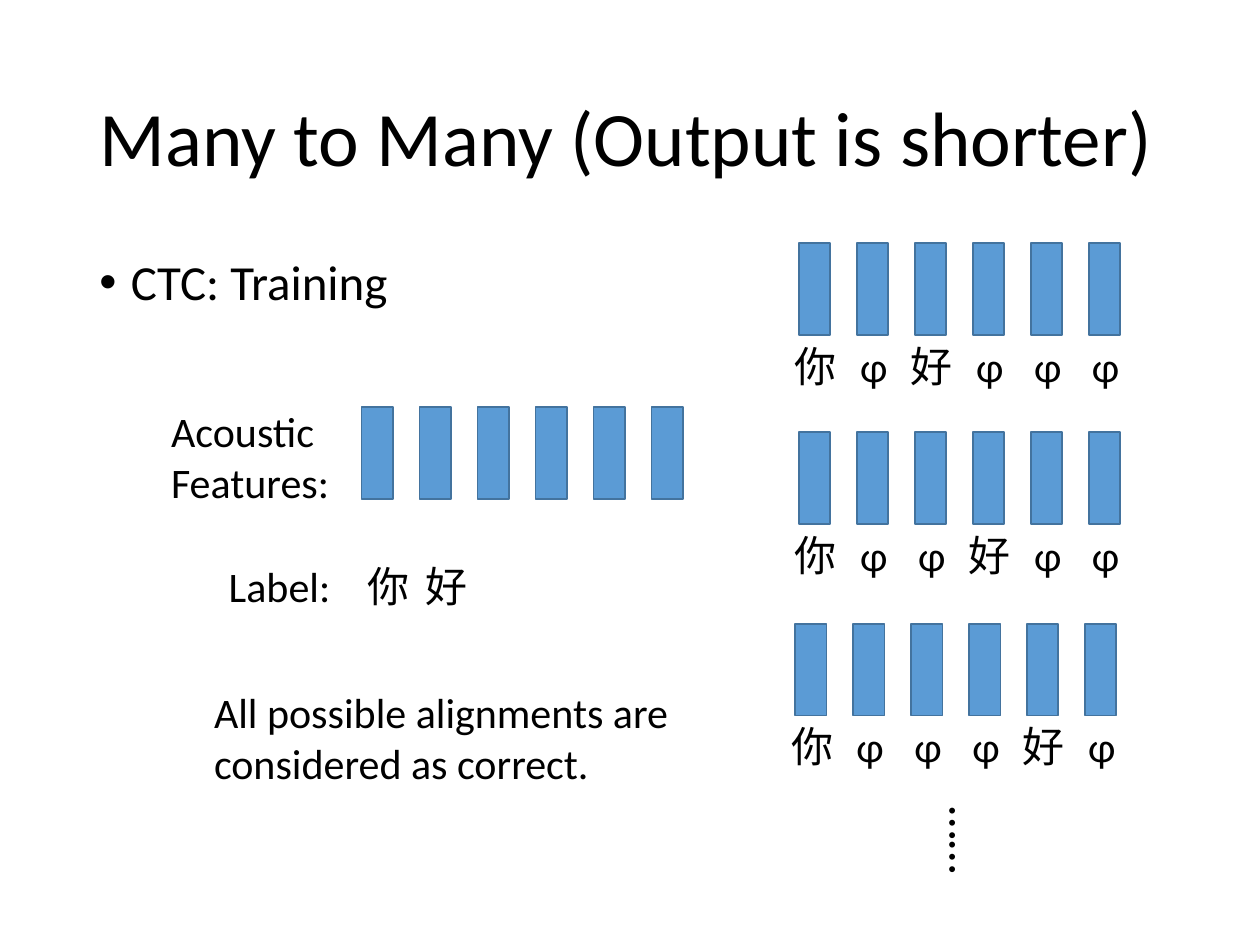
"""Build a slide on CTC training, where the output is shorter than the input."""
import pptx
import pptx.dml.color
import pptx.enum.shapes
import pptx.enum.text
import pptx.oxml
import pptx.oxml.ns
import pptx.util
from pptx.util import Inches

BLACK = pptx.dml.color.RGBColor(0x00, 0x00, 0x00)
BLUE = pptx.dml.color.RGBColor(0x5B, 0x9B, 0xD5)
DARK_BLUE = pptx.dml.color.RGBColor(0x43, 0x73, 0x9E)
ALIGN = pptx.enum.text.PP_ALIGN
ANCHOR = pptx.enum.text.MSO_ANCHOR
FONT = "Calibri"
FRAME_COUNT = 6
PITCH = 0.46
ALIGNMENTS = [
    (6.34, 1.93, "你φ好φφφ"),
    (6.34, 3.43, "你φφ好φφ"),
    (6.31, 4.95, "你φφφ好φ"),
]


def add_text(shapes, lines, left, top, width, height, size=24,
             align=ALIGN.LEFT, anchor=ANCHOR.TOP, spacing=1.0, bullet=False):
    box = shapes.add_textbox(Inches(left), Inches(top), Inches(width), Inches(height))
    frame = box.text_frame
    frame.word_wrap = True
    frame.vertical_anchor = anchor
    frame.text = "\n".join(lines)
    for paragraph in frame.paragraphs:
        paragraph.alignment = align
        paragraph.line_spacing = spacing
        if bullet:
            add_bullet(paragraph)
        paragraph.font.name = FONT
        paragraph.font.size = pptx.util.Pt(size)
        paragraph.font.color.rgb = BLACK
    return box


def add_bullet(paragraph):
    properties = paragraph._p.get_or_add_pPr()
    properties.set("marL", str(Inches(0.25)))
    properties.set("indent", str(Inches(-0.25)))
    namespace = pptx.oxml.ns.nsdecls("a")
    for markup in (f'<a:buFont {namespace} typeface="Arial"/>',
                   f'<a:buChar {namespace} char="•"/>'):
        properties.append(pptx.oxml.parse_xml(markup))


def add_acoustic_frames(shapes, left, top):
    for index in range(FRAME_COUNT):
        frame = shapes.add_shape(
            pptx.enum.shapes.MSO_SHAPE.RECTANGLE,
            Inches(left + index * PITCH), Inches(top), Inches(0.25), Inches(0.73))
        frame.shadow.inherit = False
        frame.fill.solid()
        frame.fill.fore_color.rgb = BLUE
        frame.line.color.rgb = DARK_BLUE
        frame.line.width = pptx.util.Pt(1)


def add_symbols(shapes, symbols, left, top):
    for index, symbol in enumerate(symbols):
        add_text(shapes, [symbol], left + index * PITCH, top, 0.55, 0.5,
                 align=ALIGN.CENTER)


def add_alignment(slide, left, top, symbols):
    group = slide.shapes.add_group_shape()
    add_acoustic_frames(group.shapes, left, top)
    add_symbols(group.shapes, symbols, left - 0.14, top + 0.72)


def main():
    presentation = pptx.Presentation()
    presentation.slide_width = Inches(10)
    presentation.slide_height = Inches(7.5)
    slide = presentation.slides.add_slide(presentation.slide_layouts[6])
    shapes = slide.shapes

    add_text(shapes, ["Many to Many (Output is shorter)"], 0.69, 0.4, 8.62, 1.45,
             size=44, anchor=ANCHOR.MIDDLE, spacing=0.9)
    add_text(shapes, ["CTC: Training"], 0.69, 2, 8.62, 4.76,
             size=28, spacing=0.9, bullet=True)

    add_acoustic_frames(shapes, 2.87, 3.23)
    add_symbols(shapes.add_group_shape().shapes, "你好", 2.81, 4.4)
    add_text(shapes, ["Acoustic", "Features:"], 1.26, 3.17, 1.57, 0.91)
    add_text(shapes, ["Label:"], 1.15, 4.4, 1.57, 0.5, align=ALIGN.RIGHT)
    add_text(shapes, ["All possible alignments are considered as correct."],
             1.6, 5.4, 3.91, 0.91)

    for left, top, symbols in ALIGNMENTS:
        add_alignment(slide, left, top, symbols)
    continuation = add_text(shapes, ["……"], 7.32, 6.39, 0.74, 0.57, size=28)
    continuation.text_frame.word_wrap = False
    continuation.rotation = 90

    presentation.save("out.pptx")


if __name__ == "__main__":
    main()
